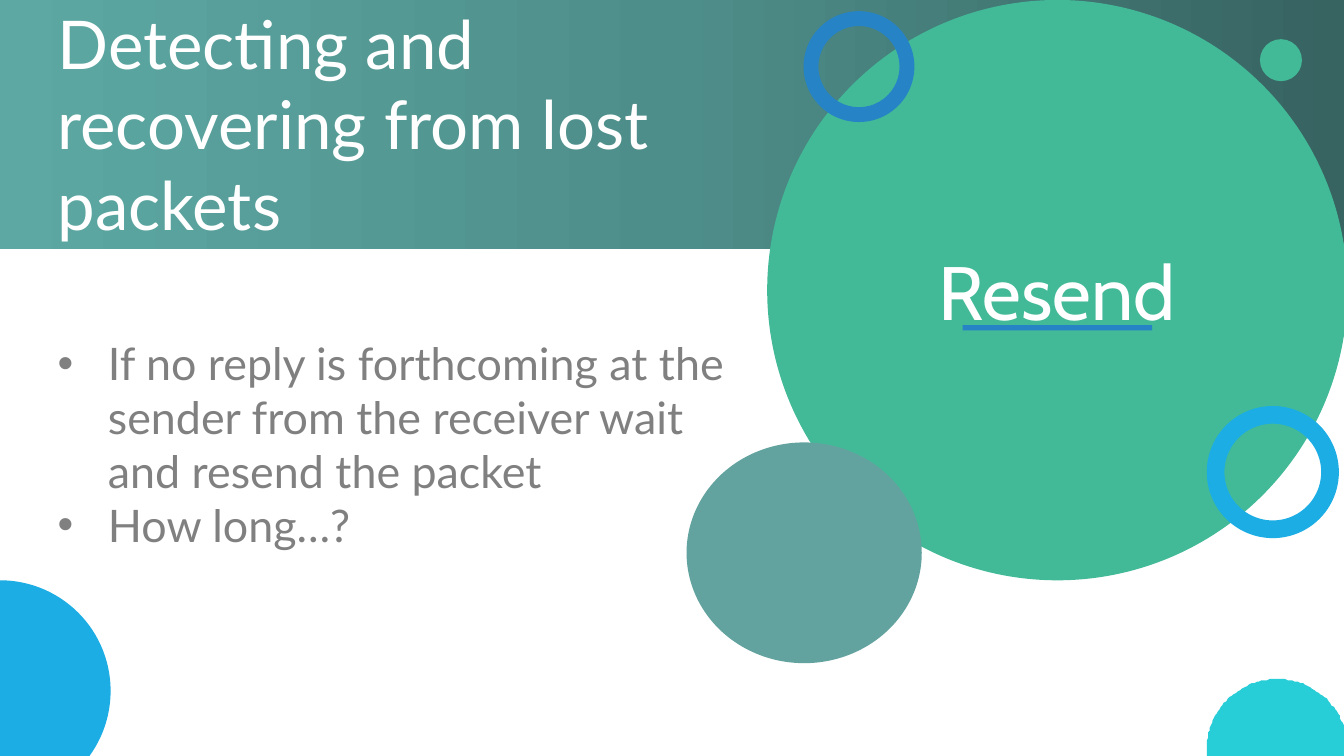
from copy import deepcopy
from math import asin, cos, pi, sin

from lxml import etree
from pptx import Presentation
from pptx.dml.color import RGBColor
from pptx.enum.shapes import MSO_SHAPE
from pptx.enum.text import MSO_ANCHOR, MSO_AUTO_SIZE, PP_ALIGN
from pptx.oxml.ns import qn
from pptx.util import Pt

RECT, OVAL, DONUT = MSO_SHAPE.RECTANGLE, MSO_SHAPE.OVAL, MSO_SHAPE.DONUT
MIDDLE, CENTER = MSO_ANCHOR.MIDDLE, PP_ALIGN.CENTER
GROW = MSO_AUTO_SIZE.SHAPE_TO_FIT_TEXT

SLIDE_W, SLIDE_H = 960, 540
COLORS = {
    "dark teal": "376361", "mid teal": "4E8E8A", "light teal": "5DA8A3",
    "muted teal": "62A39F", "green": "42BA97", "blue": "2683C6",
    "sky": "1CADE4", "cyan": "27CED7", "white": "FFFFFF", "grey": "808080",
}


def rgb(color):
    return RGBColor.from_string(COLORS[color])


def paint(shape, color):
    shape.shadow.inherit = False
    shape.fill.solid()
    shape.fill.fore_color.rgb = rgb(color)
    shape.line.fill.background()
    return shape


def add_figure(slide, kind, box, color):
    return paint(slide.shapes.add_shape(kind, *map(Pt, box)), color)


def style(paragraph, font, size, color):
    for run in paragraph.runs:
        run.font.name = font
        run.font.size = Pt(size)
        run.font.color.rgb = rgb(color)


def add_text_frame(slide, box):
    frame = slide.shapes.add_textbox(*map(Pt, box)).text_frame
    frame.word_wrap = True
    frame.auto_size = GROW
    return frame


def add_header(slide, box, title):
    """Gradient band with the slide title over its left part."""
    left, top, width, height = box
    band = add_figure(slide, RECT, box, "mid teal")
    band.fill.gradient()
    band.fill.gradient_angle = 180
    stop_list = band.fill._fill._gradFill.gsLst
    stop_list.append(deepcopy(stop_list[-1]))
    shades = ("dark teal", "mid teal", "light teal")
    for stop, shade, position in zip(band.fill.gradient_stops, shades, (0, 0.5, 1)):
        stop.color.rgb = rgb(shade)
        stop.position = position

    frame = add_text_frame(slide, (left + 34, top - 1.5, 525.6, height + 3))
    frame.text = title
    style(frame.paragraphs[0], "Lato", 48, "white")


def add_points(slide, box, points):
    """Bulleted text with a hanging indent."""
    frame = add_text_frame(slide, box)
    frame.margin_top = Pt(42)
    frame.text = "\n".join(points)
    for point in frame.paragraphs:
        style(point, "Lato", 32, "grey")
        props = point._p.get_or_add_pPr()
        props.set("marL", str(Pt(36)))
        props.set("indent", str(Pt(-36)))
        etree.SubElement(props, qn("a:buFont")).set("typeface", "Arial")
        etree.SubElement(props, qn("a:buChar")).set("char", "•")


def add_keyword_circle(slide, box, keyword):
    """Large circle with an underlined keyword and its satellites."""
    left, top, size, _ = box
    circle = add_figure(slide, OVAL, box, "green")
    frame = circle.text_frame
    frame.vertical_anchor = MIDDLE
    frame.text = keyword
    frame.paragraphs[0].alignment = CENTER
    style(frame.paragraphs[0], "Cabin", 54, "white")

    # Rings and discs: offset from the circle, then width and height
    satellites = [
        (DONUT, 26, 8, 79.2, 79.2, "blue"),
        (DONUT, 314, 290, 94.4, 94.4, "sky"),
        (OVAL, 352, 28, 30, 30, "green"),
        (OVAL, -57.6, 316, 168, 157.7, "muted teal"),
    ]
    for kind, dx, dy, width, height, color in satellites:
        figure = add_figure(slide, kind, (left + dx, top + dy, width, height), color)
        if kind == DONUT:
            figure.adjustments[0] = 0.134

    # Underline
    line_w = 135.4
    add_figure(slide, RECT, (left + (size - line_w) / 2, top + 232.3, line_w, 3.8), "blue")


def add_cut_disc(slide, box, color, steps=90):
    """Disc whose lower part is cut off by the bottom of the slide."""
    left, top, width, height = box
    rx, ry = width / 2, height / 2
    cut = asin((SLIDE_H - top - ry) / ry)
    angles = [pi - cut + (pi + 2 * cut) * i / steps for i in range(steps + 1)]
    rim = [(left + rx + rx * cos(a), top + ry + ry * sin(a)) for a in angles]
    builder = slide.shapes.build_freeform(*rim[0], scale=Pt(1))
    builder.add_line_segments(rim[1:], close=True)
    paint(builder.convert_to_shape(), color)


def main():
    prs = Presentation()
    prs.slide_width, prs.slide_height = Pt(SLIDE_W), Pt(SLIDE_H)
    slide = prs.slides.add_slide(prs.slide_layouts[6])

    add_header(slide, (0, -0.7, SLIDE_W, 178.5),
               "Detecting and recovering from lost packets")
    add_points(slide, (34, 198, 514.8, 200.9), [
        "If no reply is forthcoming at the sender from the receiver wait "
        "and resend the packet",
        "How long…?",
    ])
    add_keyword_circle(slide, (548, 0, 414.5, 414.5), "Resend")

    # Corner discs
    add_figure(slide, OVAL, (-79, 414.5, 158, 158), "sky")
    add_cut_disc(slide, (862, 485, 100.6, 100), "cyan")

    prs.save("out.pptx")


if __name__ == "__main__":
    main()
